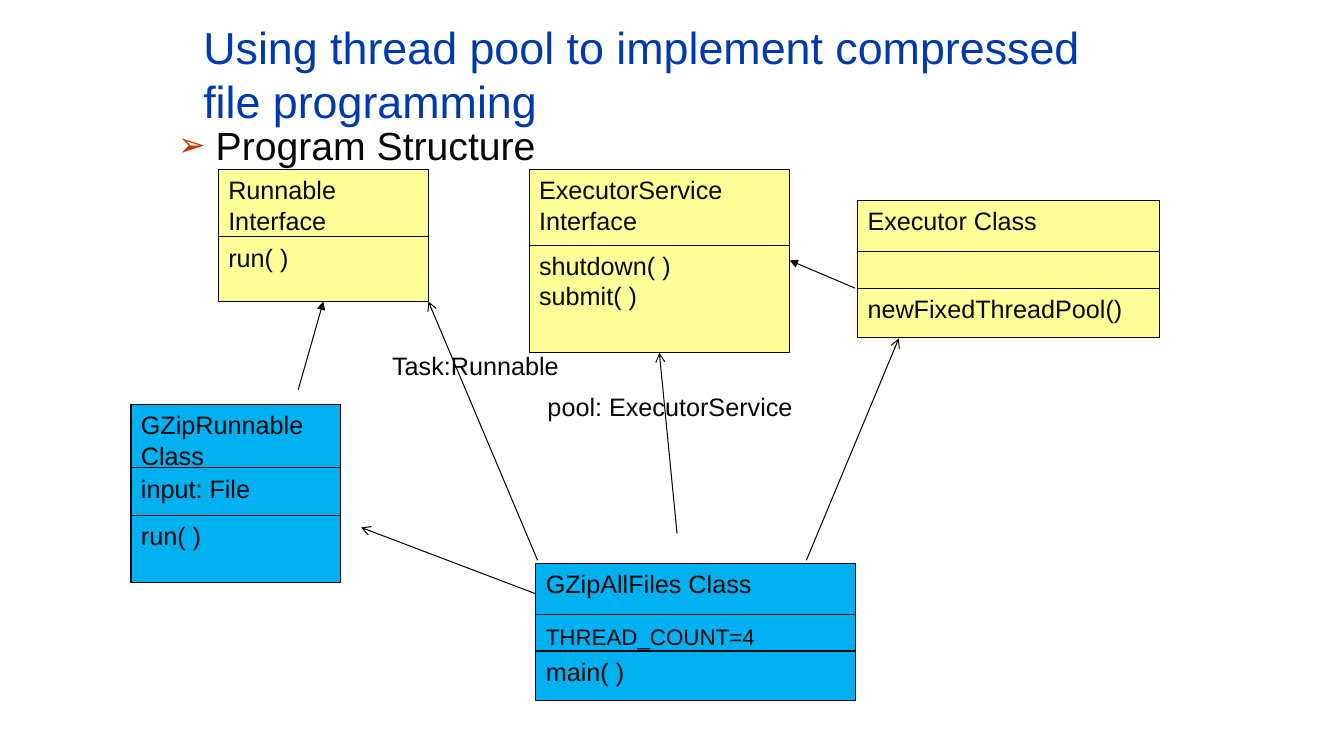
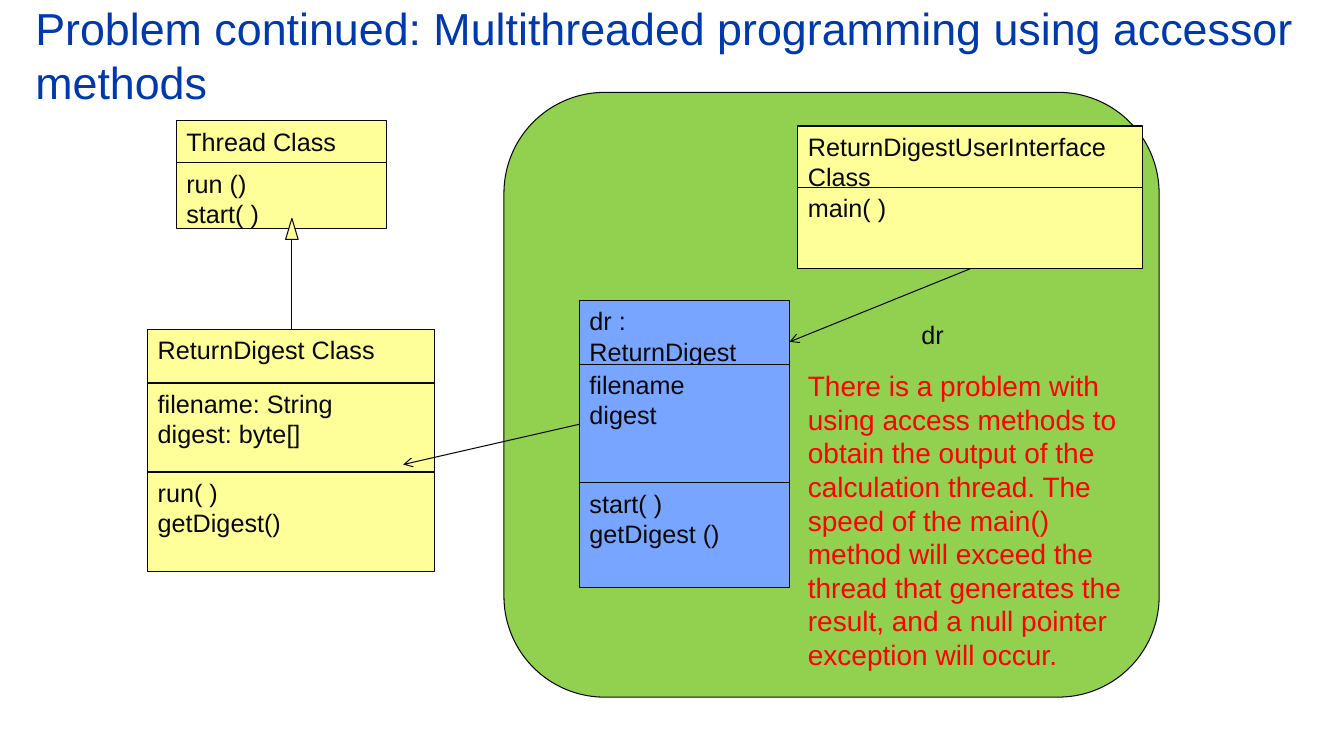
import pptx
import pptx.util
import pptx.dml.color
import pptx.enum.shapes
import pptx.enum.text
import pptx.oxml.ns
from lxml import etree

RGBColor = pptx.dml.color.RGBColor
TITLE_BLUE = RGBColor(0x00, 0x39, 0xAC)
INK = RGBColor(0x08, 0x08, 0x08)
BULLET_RED = RGBColor(0xCC, 0x33, 0x00)
WARNING_RED = RGBColor(0xFF, 0x00, 0x00)
LIBRARY_YELLOW = RGBColor(0xFF, 0xFF, 0x99)
PROGRAM_BLUE = RGBColor(0x00, 0xB0, 0xF0)
OBJECT_BLUE = RGBColor(0x78, 0xA5, 0xFF)
PROGRAM_GREEN = RGBColor(0x92, 0xD0, 0x50)

COLUMNS, ROWS = 160, 90
CELL = pptx.util.Inches(1) // 12
FONT = "Arial"
BODY_SIZE = 18
PRESETS = pptx.enum.shapes.MSO_SHAPE


def cells(*counts):
    return [round(count * CELL) for count in counts]


def add_xml(parent, tag, **attributes):
    return etree.SubElement(parent, pptx.oxml.ns.qn(tag), attributes)


class ClassDiagram:
    def __init__(self):
        self.deck = pptx.Presentation()
        self.deck.slide_width, self.deck.slide_height = cells(COLUMNS, ROWS)
        self.slide = None

    def new_slide(self, heading, left, top, width, height):
        self.slide = self.deck.slides.add_slide(self.deck.slide_layouts[5])
        title = self.slide.shapes.title
        title.left, title.top, title.width, title.height = cells(left, top, width, height)
        frame = title.text_frame
        frame.auto_size = pptx.enum.text.MSO_AUTO_SIZE.NONE
        self.set_lines(frame, [heading], 32, TITLE_BLUE, pptx.enum.text.MSO_ANCHOR.MIDDLE)

    def set_lines(self, frame, lines, size=BODY_SIZE, color=INK,
                  anchor=pptx.enum.text.MSO_ANCHOR.TOP):
        frame.word_wrap = True
        frame.vertical_anchor = anchor
        for index, line in enumerate(lines):
            paragraph = frame.add_paragraph() if index else frame.paragraphs[0]
            paragraph.alignment = pptx.enum.text.PP_ALIGN.LEFT
            pieces = [(line, size)] if isinstance(line, str) else line
            for words, points in pieces:
                run = paragraph.add_run()
                run.text = words
                run.font.name = FONT
                run.font.size = pptx.util.Pt(points)
                run.font.color.rgb = color

    def outline(self, line):
        line.color.rgb = INK
        line.width = pptx.util.Pt(0.75)

    def block(self, preset, left, top, width, height, fill):
        shape = self.slide.shapes.add_shape(preset, *cells(left, top, width, height))
        shape.shadow.inherit = False
        shape.fill.solid()
        shape.fill.fore_color.rgb = fill
        self.outline(shape.line)
        return shape

    def uml_class(self, left, width, edges, compartments, fill=LIBRARY_YELLOW):
        for top, bottom, lines in zip(edges, edges[1:], compartments):
            compartment = self.block(PRESETS.RECTANGLE, left, top, width, bottom - top, fill)
            self.set_lines(compartment.text_frame, lines)

    def label(self, words, left, top, width, height, size=BODY_SIZE, color=INK):
        box = self.slide.shapes.add_textbox(*cells(left, top, width, height))
        self.set_lines(box.text_frame, [words], size, color)
        return box

    def bullet(self, words, left, top, width, height):
        box = self.label(words, left, top, width, height, 28)
        indent = round(4.5 * CELL)
        properties = box.text_frame.paragraphs[0]._p.get_or_add_pPr()
        properties.set("marL", str(indent))
        properties.set("indent", str(-indent))
        add_xml(add_xml(properties, "a:buClr"), "a:srgbClr", val=str(BULLET_RED))
        add_xml(properties, "a:buSzPct", val="85000")
        add_xml(properties, "a:buFont", typeface=FONT)
        add_xml(properties, "a:buChar", char="➢")

    def relation(self, start, end, head=None):
        connector = self.slide.shapes.add_connector(
            pptx.enum.shapes.MSO_CONNECTOR.STRAIGHT, *cells(*start, *end))
        self.outline(connector.line)
        properties = connector._element.spPr
        if head:
            add_xml(properties.find(pptx.oxml.ns.qn("a:ln")), "a:tailEnd", type=head)
        add_xml(properties, "a:effectLst")


def thread_pool_slide(diagram):
    diagram.new_slide("Using thread pool to implement compressed file programming",
                      23, 6, 108, 5.6)
    diagram.bullet("Program Structure", 20, 13.9, 108, 12)

    diagram.uml_class(15.6, 25, [48.2, 55.7, 61.4, 69.4],
                      [["GZipRunnable Class"], ["input: File"], ["run( )"]], PROGRAM_BLUE)
    diagram.uml_class(26, 25, [20.2, 28.2, 35.9], [["Runnable Interface"], ["run( )"]])
    diagram.uml_class(63.8, 38, [67.1, 73.2, 77.5, 83.4],
                      [["GZipAllFiles Class"],
                       [[("THREAD_COUNT=4", 16), (" ", BODY_SIZE)]],
                       ["main( )"]], PROGRAM_BLUE)
    diagram.uml_class(63, 31, [20.2, 29.2, 42],
                      [["ExecutorService Interface"], ["shutdown( )", "submit( )"]])
    diagram.uml_class(102.1, 36, [23.9, 30, 34.3, 40.2],
                      [["Executor Class"], [], ["newFixedThreadPool()"]])

    for start, end, head in [
        ((35.5, 46.4), (38.5, 35.9), "triangle"),
        ((101.8, 34.3), (94, 31), "triangle"),
        ((80.6, 63.5), (78.5, 42), "arrow"),
        ((96, 66.7), (107, 40.3), "arrow"),
        ((63.8, 70.7), (43, 62.8), "arrow"),
        ((64, 66.7), (51, 35.9), "arrow"),
    ]:
        diagram.relation(start, end, head)

    diagram.label("pool: ExecutorService", 64, 46, 36, 4.8)
    diagram.label("Task:Runnable", 45.5, 41.1, 23, 4.8)


def accessor_slide(diagram):
    diagram.new_slide("Problem continued: Multithreaded programming using accessor methods",
                      3, 0.2, 153, 12.6)
    diagram.block(PRESETS.ROUNDED_RECTANGLE, 60, 11, 78, 72, PROGRAM_GREEN)

    diagram.uml_class(95, 41, [15, 22.3, 32],
                      [["ReturnDigestUserInterface Class"], ["main( )"]])
    diagram.uml_class(21, 25, [14.4, 19.4, 27.2],
                      [["Thread Class"], ["run ()", "start( )"]])
    diagram.uml_class(17.6, 34.1, [39.2, 45.6, 56.2, 68],
                      [["ReturnDigest Class"],
                       ["filename: String", "digest: byte[]"],
                       ["run( )", "getDigest()"]])
    diagram.uml_class(69, 25, [35.8, 43.4, 57.5, 70],
                      [["dr : ReturnDigest"],
                       ["filename", "digest"],
                       ["start( )", "getDigest ()"]], OBJECT_BLUE)

    diagram.block(PRESETS.ISOSCELES_TRIANGLE, 34, 26, 1.5, 2.5, LIBRARY_YELLOW)
    diagram.relation((34.75, 28.5), (34.75, 39.2))
    diagram.relation((69, 50.5), (48, 55.3), "arrow")
    diagram.relation((115.5, 32), (94, 40.7), "arrow")

    diagram.label("dr", 108.5, 37.4, 9.8, 4.8)
    diagram.label("There is a problem with using access methods to obtain the output of the "
                  "calculation thread. The speed of the main() method will exceed the thread "
                  "that generates the result, and a null pointer exception will occur.",
                  95, 43.3, 43, 37.6, 20, WARNING_RED)


def main():
    diagram = ClassDiagram()
    thread_pool_slide(diagram)
    accessor_slide(diagram)
    diagram.deck.save("out.pptx")


if __name__ == "__main__":
    main()
